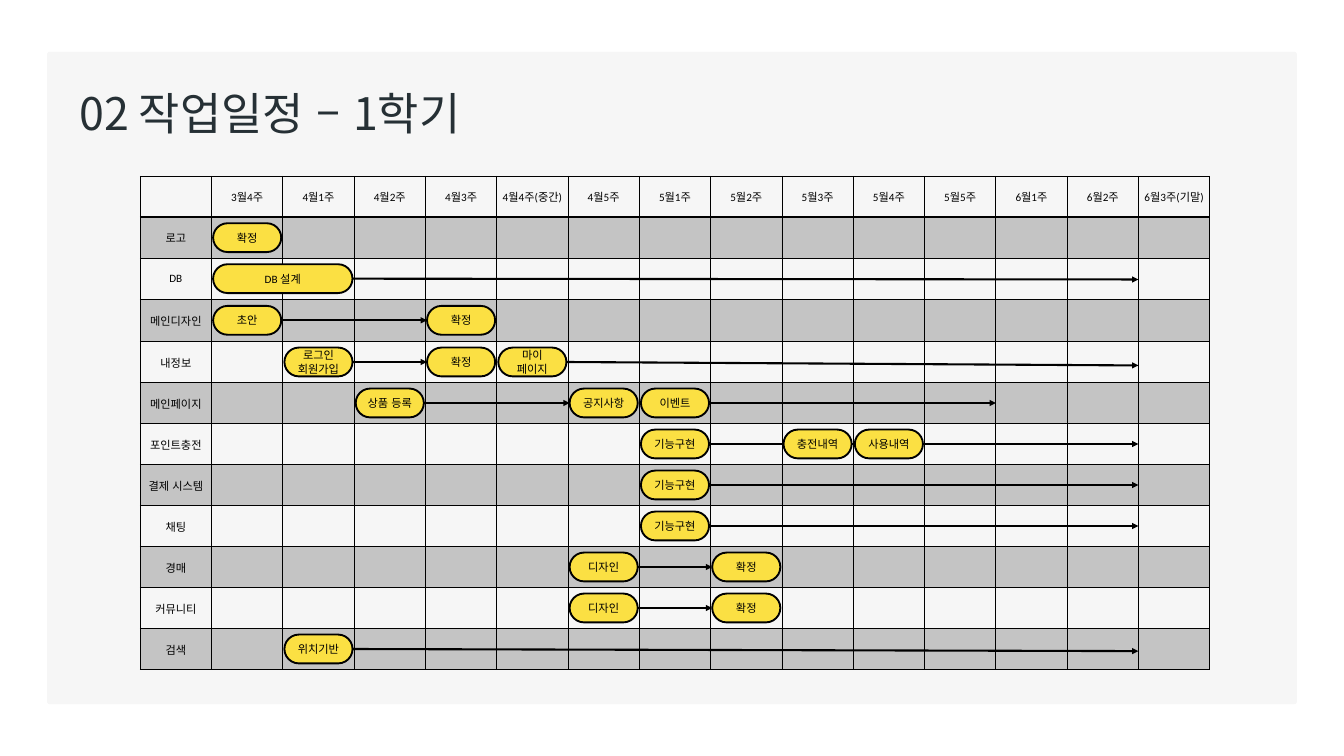
"""Builds a one-slide semester schedule: a week grid with task pills and arrows."""
from lxml.etree import SubElement
from pptx import Presentation
from pptx.dml.color import RGBColor
from pptx.enum.lang import MSO_LANGUAGE_ID
from pptx.enum.shapes import MSO_CONNECTOR, MSO_SHAPE
from pptx.enum.text import MSO_ANCHOR, PP_ALIGN
from pptx.oxml import parse_xml
from pptx.oxml.ns import nsdecls, qn
from pptx.util import Cm, Pt

EAST_ASIAN = "Noto Sans CJK KR"
LEFT, TOP, COL_W, ROW_H = 5.3, 6.66, 2.695, 1.55
PILL_H, GAP = 1.09, 0.06

WEEKS = ["3월4주", "4월1주", "4월2주", "4월3주", "4월4주(중간)", "4월5주", "5월1주",
         "5월2주", "5월3주", "5월4주", "5월5주", "6월1주", "6월2주", "6월3주(기말)"]

# Per task: pills as (column, span, text), arrows as (from column, to column, drop in cm).
TASKS = [
    ("로고", [(1, 1, "확정")], []),
    ("DB", [(1, 2, "DB 설계")], [(3, 14, 0.03)]),
    ("메인디자인", [(1, 1, "초안"), (4, 1, "확정")], [(2, 4, 0)]),
    ("내정보", [(2, 1, "로그인\n회원가입"), (4, 1, "확정"), (5, 1, "마이\n페이지")],
     [(3, 4, 0), (6, 14, 0.13)]),
    ("메인페이지", [(3, 1, "상품 등록"), (6, 1, "공지사항"), (7, 1, "이벤트")],
     [(4, 6, 0), (8, 12, 0)]),
    ("포인트충전", [(7, 1, "기능구현"), (9, 1, "충전내역"), (10, 1, "사용내역")], [(8, 14, 0)]),
    ("결제 시스템", [(7, 1, "기능구현")], [(8, 14, 0)]),
    ("채팅", [(7, 1, "기능구현")], [(8, 14, 0)]),
    ("경매", [(6, 1, "디자인"), (8, 1, "확정")], [(7, 8, 0)]),
    ("커뮤니티", [(6, 1, "디자인"), (8, 1, "확정")], [(7, 8, 0)]),
    ("검색", [(2, 1, "위치기반")], [(3, 14, 0.08)]),
]


def paint(fill, colour):
    fill.solid()
    fill.fore_color.rgb = RGBColor.from_string(colour)


def write(tf, text, size=12, font="Calibri", colour="000000", align=PP_ALIGN.CENTER):
    for i, line in enumerate(text.split("\n")):
        p = tf.add_paragraph() if i else tf.paragraphs[0]
        p.alignment = align
        r = p.add_run()
        r.text = line
        r.font.size = Pt(size)
        r.font.name = font
        r.font.bold = False
        r.font.language_id = MSO_LANGUAGE_ID.KOREAN
        paint(r.font.fill, colour)
        SubElement(r.font._element, qn("a:ea"), typeface=EAST_ASIAN)


prs = Presentation()
prs.slide_width, prs.slide_height = Cm(50.8), Cm(28.58)
slide = prs.slides.add_slide(prs.slide_layouts[5])

panel = slide.shapes.add_shape(MSO_SHAPE.ROUNDED_RECTANGLE, Cm(1.78), Cm(1.96), Cm(47.24), Cm(24.66))
panel.adjustments[0] = 0.004
panel.shadow.inherit = False
paint(panel.fill, "F6F6F6")
panel.line.fill.background()
slide.shapes._spTree.insert(2, panel._element)

title = slide.shapes.title
title.left, title.top, title.width, title.height = Cm(2.74), Cm(3.12), Cm(21.8), Cm(2.31)
title.text_frame.vertical_anchor = MSO_ANCHOR.MIDDLE
write(title.text_frame, "02 작업일정 – 1학기", size=48, font=EAST_ASIAN,
      colour="263035", align=PP_ALIGN.LEFT)

rows = [["", *WEEKS]] + [[name] + [""] * len(WEEKS) for name, _, _ in TASKS]
heights = [ROW_H] * len(rows)
heights[3] = 1.6
table = slide.shapes.add_table(len(rows), len(rows[0]), Cm(LEFT), Cm(TOP),
                               Cm(COL_W * len(rows[0])), Cm(sum(heights))).table
table.first_row = table.horz_banding = False
for col in table.columns:
    col.width = Cm(COL_W)
for i, texts in enumerate(rows):
    table.rows[i].height = Cm(heights[i])
    for j, text in enumerate(texts):
        cell = table.cell(i, j)
        cell.vertical_anchor = MSO_ANCHOR.MIDDLE
        cell.margin_left = cell.margin_right = cell.margin_top = Cm(0.03)
        cell.margin_bottom = 0
        if text:
            write(cell.text_frame, text)
        tc_pr = cell._tc.get_or_add_tcPr()
        if i % 2:
            paint(cell.fill, "000000")
            SubElement(tc_pr.find(qn("a:solidFill"))[0], qn("a:alpha"), val="20000")
        else:
            cell.fill.background()
        for k, side in enumerate("LRTB"):
            heavy = (i, side) in [(0, "B"), (1, "T")]
            tc_pr.insert(k, parse_xml(
                f'<a:ln{side} {nsdecls("a")} w="{Pt(2 if heavy else 1)}"><a:solidFill>'
                f'<a:srgbClr val="000000"/></a:solidFill></a:ln{side}>'))

for i, (_, pills, arrows) in enumerate(TASKS, start=1):
    middle = TOP + sum(heights[:i]) + heights[i] / 2
    pill_cols = [col for col, _, _ in pills]
    for start, end, drop in arrows:
        end_gap = GAP if end in pill_cols else 0
        s = slide.shapes.add_connector(
            MSO_CONNECTOR.STRAIGHT, Cm(LEFT + start * COL_W - GAP), Cm(middle),
            Cm(LEFT + end * COL_W + end_gap), Cm(middle + drop))
        paint(s.line.fill, "000000")
        s.line.width = Pt(2.25)
        SubElement(s.line._get_or_add_ln(), qn("a:tailEnd"), type="triangle")
        SubElement(s._element.spPr, qn("a:effectLst"))
    for col, span, text in pills:
        s = slide.shapes.add_shape(
            MSO_SHAPE.ROUNDED_RECTANGLE, Cm(LEFT + col * COL_W + GAP), Cm(middle - PILL_H / 2),
            Cm(span * COL_W - 2 * GAP), Cm(PILL_H))
        s.adjustments[0] = 0.5
        s.shadow.inherit = False
        paint(s.fill, "FBE043")
        paint(s.line.fill, "000000")
        s.line.width = Pt(2)
        s.text_frame.vertical_anchor = MSO_ANCHOR.MIDDLE
        write(s.text_frame, text)

prs.save("out.pptx")
